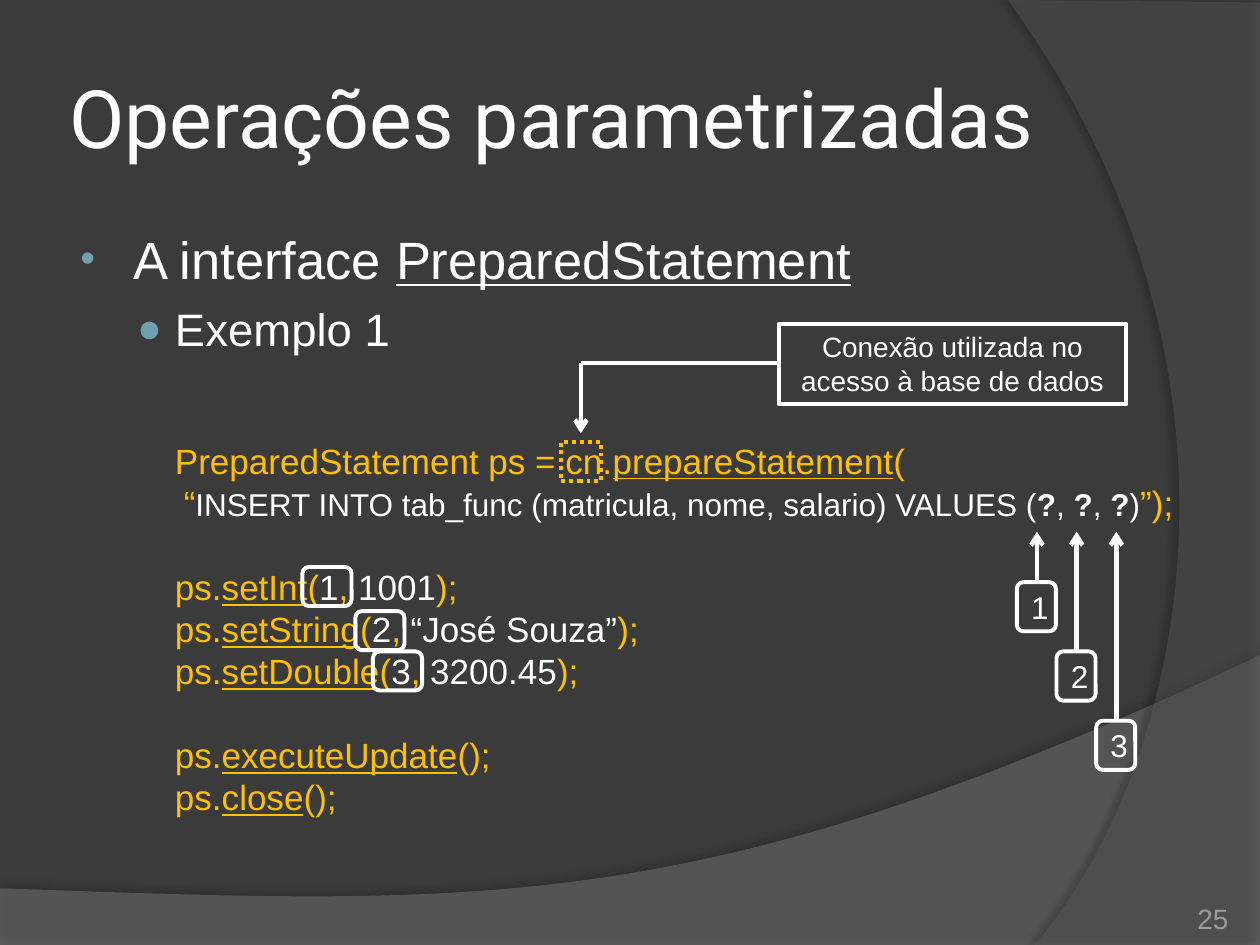
from lxml import etree
from pptx import Presentation
from pptx import util as u
from pptx.dml.color import RGBColor
from pptx.enum import dml, shapes, text
from pptx.oxml.ns import qn

Inches, Pt = u.Inches, u.Pt
WHITE = RGBColor(0xFF, 0xFF, 0xFF)
AMBER = RGBColor(0xFF, 0xC0, 0x00)
PAGE_GREY = RGBColor(0x9D, 0x9B, 0x9A)
BACKGROUND = RGBColor(0x3B, 0x3B, 0x3B)
LOWER_GREY = RGBColor(0x7F, 0x7F, 0x7F)
RIGHT_GREY = RGBColor(0x5E, 0x5E, 0x5E)
BULLET_HEX = "6EA0B0"
LEFT, CENTER, RIGHT = (text.PP_ALIGN.LEFT, text.PP_ALIGN.CENTER, text.PP_ALIGN.RIGHT)
TOP, MIDDLE, BOTTOM = (text.MSO_ANCHOR.TOP, text.MSO_ANCHOR.MIDDLE, text.MSO_ANCHOR.BOTTOM)


def add_xml(parent, tag, **attributes):
    return etree.SubElement(parent, qn(tag), attributes)


def apply_format(target, values):
    for name, value in values.items():
        setattr(target, name, value)


def add_run(paragraph, wording, size, color=WHITE, font="Arial", **style):
    run = paragraph.add_run()
    run.text = wording
    run.font.color.rgb = color
    apply_format(run.font, {"size": Pt(size), "name": font, **style})


def add_text(slide, box, anchor=TOP, inset=None):
    frame = slide.shapes.add_textbox(*map(Inches, box)).text_frame
    apply_format(frame, {"word_wrap": True, "vertical_anchor": anchor})
    if inset is not None:
        sides = ("left", "top", "right", "bottom")
        apply_format(frame, {f"margin_{side}": Inches(inset) for side in sides})
    return frame


def set_indent(paragraph, margin, first=0, bullet=None, bullet_size=100):
    props = paragraph._p.get_or_add_pPr()
    props.set("marL", str(Inches(margin)))
    props.set("indent", str(Inches(first)))
    if bullet:
        add_xml(add_xml(props, "a:buClr"), "a:srgbClr", val=BULLET_HEX)
        add_xml(props, "a:buSzPct", val=str(bullet_size * 1000))
        add_xml(props, "a:buFont", typeface="Arial")
        add_xml(props, "a:buChar", char=bullet)
    else:
        add_xml(props, "a:buNone")


def add_outline(slide, kind, box, color=WHITE):
    frame = slide.shapes.add_shape(kind, *map(Inches, box))
    frame.shadow.inherit = False
    frame.fill.background()
    frame.line.color.rgb = color
    frame.line.width = Pt(2.25)
    return frame


def add_label(frame, wording, size, anchor):
    apply_format(frame.text_frame, {"word_wrap": True, "vertical_anchor": anchor})
    paragraph = frame.text_frame.paragraphs[0]
    paragraph.alignment = CENTER
    add_run(paragraph, wording, size)


def add_line(slide, start, end, arrow=False):
    line = slide.shapes.add_connector(
        shapes.MSO_CONNECTOR.STRAIGHT, *map(Inches, start + end))
    line.line.color.rgb = WHITE
    line.line.width = Pt(2.5)
    if arrow:
        add_xml(line.line._get_or_add_ln(), "a:tailEnd", type="arrow")
    add_xml(line._element.spPr, "a:effectLst")


# Background sweeps
def bezier(p0, p1, p2, p3, steps=60):
    for i in range(steps + 1):
        t = i / steps
        weights = ((1 - t) ** 3, 3 * t * (1 - t) ** 2, 3 * t * t * (1 - t), t ** 3)
        yield tuple(sum(w * p[axis] for w, p in zip(weights, (p0, p1, p2, p3)))
                    for axis in (0, 1))


def add_sweep(slide, corners, curve, color, opacity, shade, distance, direction):
    points = [tuple(map(Inches, point)) for point in corners + list(bezier(*curve))]
    builder = slide.shapes.build_freeform(*points[0], scale=1.0)
    builder.add_line_segments(points[1:], close=True)
    sweep = builder.convert_to_shape()
    sweep.fill.solid()
    sweep.fill.fore_color.rgb = color
    sweep.line.fill.background()
    props = sweep._element.spPr
    add_xml(props.find(".//" + qn("a:srgbClr")), "a:alpha", val=str(opacity * 1000))
    shadow = add_xml(add_xml(props, "a:effectLst"), "a:outerShdw",
                     blurRad=str(Pt(4)), dist=str(Pt(distance)),
                     dir=str(direction * 60000), algn="ctr", rotWithShape="0")
    add_xml(add_xml(shadow, "a:srgbClr", val="000000"), "a:alpha", val=str(shade * 1000))


def add_background(slide, width, height):
    slide.background.fill.solid()
    slide.background.fill.fore_color.rgb = BACKGROUND
    add_sweep(slide, [(0, 7.05), (0, height), (width, height)],
              ((width, 5.2), (5.59, 7.29), (3.91, 7.19), (0, 7.05)),
              LOWER_GREY, 45, 35, 3.5, 270)
    add_sweep(slide, [(width, 0.02), (width, height)],
              ((8.21, height), (9.35, 6.19), (10.18, 3), (8, 0)),
              RIGHT_GREY, 40, 45, 4, 180)


# Title and page number
def add_single_line(slide, box, wording, size, color, font, align, anchor, inset):
    paragraph = add_text(slide, box, anchor, inset).paragraphs[0]
    paragraph.alignment = align
    add_run(paragraph, wording, size, color, font)


# Bullets and code listing
def call(method, *rest):
    return [("ps.", {}), (method, {"underline": True}), *rest]


def setter(method, position, value):
    return call(method, ("(", {}), (position, {"color": WHITE}), (",", {}),
                (" " + value, {"color": WHITE}), (");", {}))


def add_body(slide, box):
    frame = add_text(slide, box)
    heading = frame.paragraphs[0]
    set_indent(heading, 0.46, -0.42, "•", 80)
    heading.space_before = Pt(6)
    add_run(heading, "A interface ", 30)
    add_run(heading, "PreparedStatement", 30, underline=True)
    example = frame.add_paragraph()
    set_indent(example, 0.79, -0.3, "●", 90)
    example.space_before = Pt(6.5)
    add_run(example, "Exemplo 1", 26)

    sql, mark = {"size": 18, "color": WHITE}, {"size": 18, "color": WHITE, "bold": True}
    insert = [("“", {}),
              ("INSERT INTO tab_func (matricula, nome, salario) VALUES (", sql),
              ("?", mark), (", ", sql), ("?", mark), (", ", sql), ("?", mark),
              (")", sql), ("”);", {})]
    # Blank lines above, alignment, runs
    code = [
        (2, LEFT, [("PreparedStatement ps = cn.", {}),
                   ("prepareStatement", {"underline": True}), ("(", {})]),
        (0, RIGHT, insert),
        (1, LEFT, setter("setInt", "1", "1001")),
        (0, LEFT, setter("setString", "2", "“José Souza”")),
        (0, LEFT, setter("setDouble", "3", "3200.45")),
        (1, LEFT, call("executeUpdate", ("();", {}))),
        (0, LEFT, call("close", ("();", {}))),
    ]
    for gap, align, runs in code:
        line = frame.add_paragraph()
        set_indent(line, 0.79)
        apply_format(line, {"alignment": align, "line_spacing": Pt(24),
                            "space_before": Pt(24 * gap)})
        for wording, style in runs:
            add_run(line, wording, **{"size": 20, "color": AMBER, **style})


# Connection note with its elbow arrow
def add_connection_note(slide, left, top):
    target = add_outline(slide, shapes.MSO_SHAPE.RECTANGLE,
                         (left, top + 0.94, 0.32, 0.31), AMBER)
    target.line.dash_style = dml.MSO_LINE.ROUND_DOT
    note = add_outline(slide, shapes.MSO_SHAPE.RECTANGLE, (left + 1.73, top, 2.76, 0.64))
    add_label(note, "Conexão utilizada no acesso à base de dados", 16, TOP)
    corner = (left + 0.16, top + 0.31)
    add_line(slide, corner, (corner[0], top + 0.87), arrow=True)
    add_line(slide, (left + 1.73, corner[1]), corner)


# Parameter positions: frames in the code and numbered pointers
def add_parameters(slide, frames, left, top, tip):
    for frame_left, frame_top in frames:
        add_outline(slide, shapes.MSO_SHAPE.ROUNDED_RECTANGLE,
                    (frame_left, frame_top, 0.39, 0.31))
    for i in range(len(frames)):
        x, y = left + 0.315 * i, top + 0.55 * i
        add_line(slide, (x + 0.16, y), (x + 0.16, tip), arrow=True)
        number = add_outline(slide, shapes.MSO_SHAPE.ROUNDED_RECTANGLE, (x, y, 0.31, 0.39))
        add_label(number, str(i + 1), 18, MIDDLE)


deck = Presentation()
deck.slide_width, deck.slide_height = Inches(10), Inches(7.5)
slide = deck.slides.add_slide(deck.slide_layouts[6])
add_background(slide, 10, 7.5)
add_single_line(slide, (0.5, 0.3, 8.17, 1.25), "Operações parametrizadas",
                46, WHITE, "Roboto", LEFT, MIDDLE, 0.05)
add_body(slide, (0.5, 1.75, 8.91, 4.95))
add_single_line(slide, (8.92, 7.02, 0.83, 0.4), "25",
                16, PAGE_GREY, "Arial", RIGHT, BOTTOM, 0)
add_connection_note(slide, 4.45, 2.57)
add_parameters(slide, [(2.4, 4.5), (2.82, 4.85), (2.96, 5.17)], 8.07, 4.62, 4.22)
deck.save("out.pptx")
